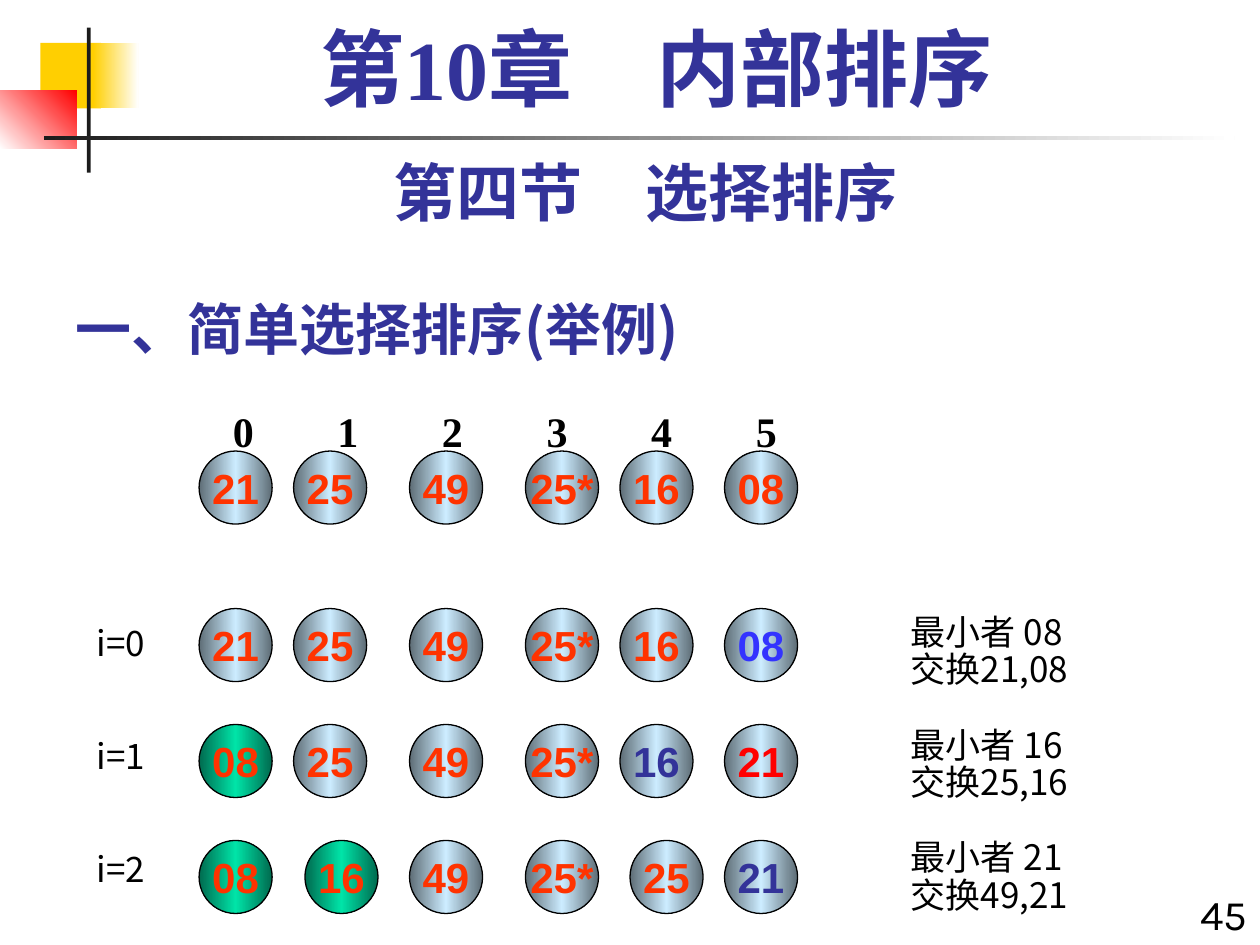
from lxml import etree
from pptx import Presentation
from pptx import util as u
from pptx.dml.color import RGBColor
from pptx.enum import shapes, text
from pptx.oxml import ns

NAVY = RGBColor(0x33, 0x33, 0x99)
BLACK = RGBColor(0, 0, 0)
CHARCOAL = RGBColor(0x1C, 0x1C, 0x1C)
WHITE = RGBColor(0xFF, 0xFF, 0xFF)
YELLOW = RGBColor(0xFF, 0xCF, 0x01)
RED = RGBColor(0xFF, 0, 0)
ORANGE = RGBColor(0xFF, 0x33, 0x00)
BLUE = RGBColor(0x33, 0x33, 0xFF)
STEEL = RGBColor(0x5E, 0x6D, 0x76)
ICE = RGBColor(0xCC, 0xEC, 0xFF)
DARK_GREEN = RGBColor(0, 0x6A, 0x4E)
GREEN = RGBColor(0, 0xE4, 0xA8)

PENDING = (STEEL, ICE, STEEL)
SORTED = (DARK_GREEN, GREEN, DARK_GREEN)
CJK = "Noto Sans CJK SC"
COLUMNS = (1.58, 2.33, 3.25, 4.17, 4.92, 5.75)
BALL = 0.58
INDEX_STEP = 0.83
LINE = 21.5

# top, values, number already sorted, {column: text colour}, {column: left}
ROWS = (
    (3.58, "21 25 49 25* 16 08", 0, {}, {}),
    (4.83, "21 25 49 25* 16 08", 0, {5: BLUE}, {}),
    (5.75, "08 25 49 25* 16 21", 1, {4: NAVY, 5: RED}, {}),
    (6.67, "08 16 49 25* 25 21", 2, {5: NAVY}, {1: 2.42, 4: 5}),
)


def inches(*lengths):
    return [u.Inches(length) for length in lengths]


def fill_gradient(shape, colors, angle=0):
    """Fill with evenly spaced stops; the angle runs clockwise in degrees."""
    shape.fill.gradient()
    gradient = shape._element.spPr.find(ns.qn("a:gradFill"))
    stops = gradient.find(ns.qn("a:gsLst"))
    for stop in list(stops):
        stops.remove(stop)
    for number, color in enumerate(colors):
        position = 100000 * number // (len(colors) - 1)
        stop = etree.SubElement(stops, ns.qn("a:gs"), pos=str(position))
        etree.SubElement(stop, ns.qn("a:srgbClr"), val=str(color))
    gradient.find(ns.qn("a:lin")).set("ang", str(angle * 60000))


def style(paragraph, size, font, color, bold=False):
    paragraph.font.size = u.Pt(size)
    paragraph.font.name = font
    paragraph.font.bold = bold
    paragraph.font.color.rgb = color
    for run in paragraph.runs:
        properties = run._r.get_or_add_rPr()
        etree.SubElement(properties, ns.qn("a:ea"), typeface=CJK)


def add_block(slide, *colors, at, angle=0):
    shape = slide.shapes.add_shape(shapes.MSO_SHAPE.RECTANGLE, *inches(*at))
    shape.shadow.inherit = False
    shape.line.fill.background()
    if len(colors) == 1:
        shape.fill.solid()
        shape.fill.fore_color.rgb = colors[0]
    else:
        fill_gradient(shape, colors, angle)


def add_text(slide, lines, at, size, font, color, bold=False,
             align=text.PP_ALIGN.LEFT, wrap=True):
    box = slide.shapes.add_textbox(*inches(*at))
    frame = box.text_frame
    frame.word_wrap = wrap
    frame.text = "\n".join(lines)
    for paragraph in frame.paragraphs:
        paragraph.alignment = align
        style(paragraph, size, font, color, bold)
    return frame


def add_spaced_lines(slide, lines, at, per_step, gap, wrap):
    """Add notes in steps of per_step lines, with a gap before each later step."""
    frame = add_text(slide, lines, at, 20, CJK, BLACK, wrap=wrap)
    for number, paragraph in enumerate(frame.paragraphs):
        paragraph.line_spacing = u.Pt(LINE)
        if number and number % per_step == 0:
            paragraph.space_before = u.Pt(gap)


def add_indices(slide):
    frame = add_text(slide, ["\t".join("012345")], (1.75, 3.17, 4.86, 0.5),
                     24, "Times New Roman", BLACK, bold=True)
    properties = frame.paragraphs[0]._p.get_or_add_pPr()
    tabs = etree.Element(ns.qn("a:tabLst"))
    properties.insert(0, tabs)
    for number in range(1, 6):
        position = u.Inches(INDEX_STEP * number)
        etree.SubElement(tabs, ns.qn("a:tab"), pos=str(position), algn="l")


def add_ball(group, value, left, top, colors, text_color):
    ball = group.shapes.add_shape(shapes.MSO_SHAPE.OVAL,
                                  *inches(left, top, BALL, BALL))
    ball.shadow.inherit = False
    fill_gradient(ball, colors)
    ball.line.color.rgb = BLACK
    ball.line.width = u.Pt(0.75)
    frame = ball.text_frame
    frame.word_wrap = False
    frame.vertical_anchor = text.MSO_ANCHOR.MIDDLE
    frame.text = value
    paragraph = frame.paragraphs[0]
    paragraph.alignment = text.PP_ALIGN.CENTER
    style(paragraph, 24, "Arial", text_color, bold=True)


def add_row(slide, top, values, sorted_count, text_colors, moved):
    group = slide.shapes.add_group_shape()
    for column, value in enumerate(values.split()):
        add_ball(group, value, moved.get(column, COLUMNS[column]), top,
                 SORTED if column < sorted_count else PENDING,
                 text_colors.get(column, ORANGE))


def add_decoration(slide):
    add_block(slide, YELLOW, at=(0.32, 0.34, 0.48, 0.52))
    add_block(slide, YELLOW, WHITE, at=(0.74, 0.34, 0.36, 0.52))
    add_block(slide, WHITE, RED, at=(0, 0.72, 0.61, 0.46), angle=315)
    add_block(slide, CHARCOAL, at=(0.69, 0.22, 0.03, 1.15))
    add_block(slide, CHARCOAL, WHITE, at=(0.35, 1.08, 9.45, 0.03))


def set_title(slide, words):
    title = slide.shapes.title
    title.left, title.top, title.width, title.height = inches(0.5, 2.17, 6.25, 0.75)
    frame = title.text_frame
    frame.text = words
    frame.auto_size = text.MSO_AUTO_SIZE.NONE
    frame.vertical_anchor = text.MSO_ANCHOR.BOTTOM
    frame.paragraphs[0].alignment = text.PP_ALIGN.LEFT
    style(frame.paragraphs[0], 32, CJK, NAVY, bold=True)


def main():
    presentation = Presentation()
    presentation.slide_width, presentation.slide_height = inches(10, 7.5)
    slide = presentation.slides.add_slide(presentation.slide_layouts[5])
    add_decoration(slide)
    set_title(slide, "一、简单选择排序(举例)")
    add_text(slide, ["45"], (9.33, 7, 0.67, 0.59), 24, "Karla", BLACK,
             align=text.PP_ALIGN.RIGHT)
    add_text(slide, ["第四节　选择排序"], (0.5, 1.17, 9.25, 0.7), 36, "Karla",
             NAVY, bold=True, align=text.PP_ALIGN.CENTER)
    chapter = add_text(slide, ["第10章　内部排序"], (0.67, 0.17, 9.08, 0.83), 48,
                       "Times New Roman", NAVY, bold=True,
                       align=text.PP_ALIGN.CENTER)
    chapter.paragraphs[0].line_spacing = 0.9
    add_indices(slide)
    for row in ROWS:
        add_row(slide, *row)
    add_spaced_lines(slide, ["最小者 08", "交换21,08", "最小者 16", "交换25,16",
                             "最小者 21", "交换49,21"],
                     (7.13, 4.83, 1.52, 2.5), 2, LINE, wrap=False)
    add_spaced_lines(slide, ["i=0", "i=1", "i=2"], (0.67, 4.92, 0.62, 3.1),
                     1, 2 * LINE, wrap=True)
    presentation.save("out.pptx")


if __name__ == "__main__":
    main()
